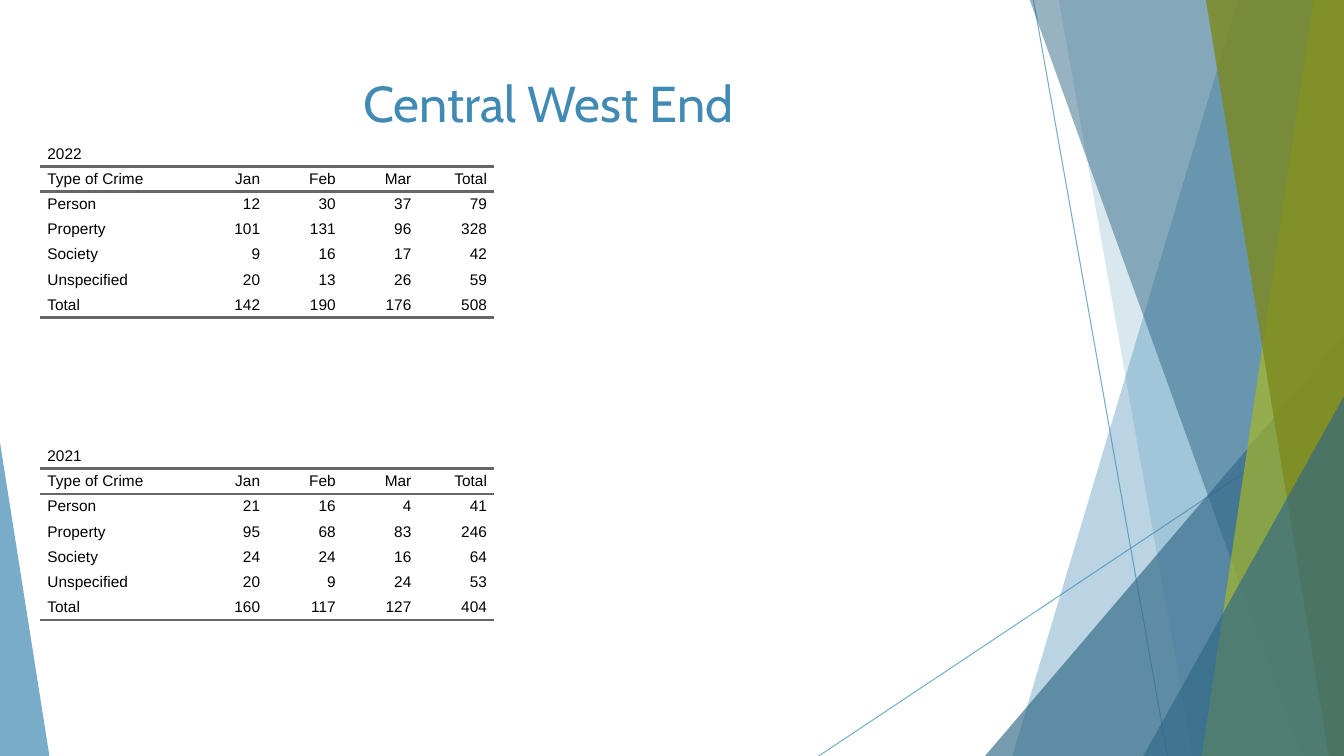
import dataclasses

import pptx
import pptx.dml.color
import pptx.enum.shapes
import pptx.enum.text
import pptx.oxml
import pptx.oxml.ns
import pptx.util

PX = 9144
SLIDE_WIDTH, SLIDE_HEIGHT = 1333, 750
PLAIN_TABLE_STYLE = "{2D5ABB26-0587-4C30-8999-92F81FD0307C}"
ALIGN = pptx.enum.text.PP_ALIGN
ANCHOR = pptx.enum.text.MSO_ANCHOR


@dataclasses.dataclass(frozen=True)
class Theme:
    blue: str = "418AB3"
    dark_blue: str = "316886"
    lime: str = "A6B727"
    olive: str = "7D891D"
    rule: str = "666666"
    ink: str = "000000"
    title_font: str = "Cabin"
    table_font: str = "Arial"
    title_size: int = 36
    table_size: int = 11
    thin_line: float = 0.75
    rule_width: int = 2


THEME = Theme()

HEADINGS = ["Type of Crime", "Jan", "Feb", "Mar", "Total"]
CRIMES_2022 = [
    ["Person", 12, 30, 37, 79],
    ["Property", 101, 131, 96, 328],
    ["Society", 9, 16, 17, 42],
    ["Unspecified", 20, 13, 26, 59],
    ["Total", 142, 190, 176, 508],
]
CRIMES_2021 = [
    ["Person", 21, 16, 4, 41],
    ["Property", 95, 68, 83, 246],
    ["Society", 24, 24, 16, 64],
    ["Unspecified", 20, 9, 24, 53],
    ["Total", 160, 117, 127, 404],
]


def px(*lengths):
    return [pptx.util.Emu(length * PX) for length in lengths]


def paint(fill, color, opacity):
    fill.solid()
    fill.fore_color.rgb = pptx.dml.color.RGBColor.from_string(color)
    for node in fill._xPr.iter(pptx.oxml.ns.qn("a:srgbClr")):
        alpha = pptx.oxml.parse_xml(
            f'<a:alpha {pptx.oxml.ns.nsdecls("a")} val="{opacity * 1000}"/>')
        node.append(alpha)


def finish_panel(shape, color, opacity):
    shape.shadow.inherit = False
    shape.line.fill.background()
    paint(shape.fill, color, opacity)


def add_line(slide, start, end):
    connector = slide.shapes.add_connector(
        pptx.enum.shapes.MSO_CONNECTOR.STRAIGHT, *px(*start, *end))
    connector.line.width = pptx.util.Pt(THEME.thin_line)
    paint(connector.line.fill, THEME.blue, 70)
    connector._element.spPr.append(
        pptx.oxml.parse_xml(f'<a:effectLst {pptx.oxml.ns.nsdecls("a")}/>'))


def add_band(slide, top_left, bottom_left, color, opacity):
    builder = slide.shapes.build_freeform(top_left, -1, scale=PX)
    builder.add_line_segments(
        [(SLIDE_WIDTH, -1), (SLIDE_WIDTH, SLIDE_HEIGHT), (bottom_left, SLIDE_HEIGHT)],
        close=True)
    finish_panel(builder.convert_to_shape(), color, opacity)


def add_corner(slide, left, top, width, apex, color, opacity):
    shape = slide.shapes.add_shape(
        pptx.enum.shapes.MSO_SHAPE.ISOSCELES_TRIANGLE,
        *px(left, top, width, SLIDE_HEIGHT - top))
    shape.adjustments[0] = apex
    finish_panel(shape, color, opacity)


def write(frame, text, *, font, size, color, align, spacing=None, indent=None):
    paragraph = frame.paragraphs[0]
    paragraph.alignment = align
    if spacing is not None:
        paragraph.space_before = paragraph.space_after = pptx.util.Pt(spacing)
    if indent is not None:
        properties = paragraph._p.get_or_add_pPr()
        for name, value in (("marL", indent * PX), ("marR", indent * PX), ("indent", 0)):
            properties.set(name, str(value))
    run = paragraph.add_run()
    run.text = text
    run.font.name = font
    run.font.size = pptx.util.Pt(size)
    run.font.color.rgb = pptx.dml.color.RGBColor.from_string(color)


def rule_cell(cell, sides):
    properties = cell._tc.get_or_add_tcPr()
    for position, side in enumerate(sides):
        border = pptx.oxml.parse_xml(
            f'<a:ln{side} {pptx.oxml.ns.nsdecls("a")} w="{THEME.rule_width * 12700}">'
            f'<a:solidFill><a:srgbClr val="{THEME.rule}"/></a:solidFill>'
            f'<a:prstDash val="solid"/></a:ln{side}>')
        properties.insert(position, border)


def add_crime_table(slide, top, year, crimes):
    rows = [[year], HEADINGS, *crimes]
    widths = [150] + [75] * 4
    row_height = 25
    table = slide.shapes.add_table(
        len(rows), len(widths), *px(40, top, sum(widths), row_height * len(rows))).table
    table.first_row = table.horz_banding = False
    table._tbl.tblPr.find(pptx.oxml.ns.qn("a:tableStyleId")).text = PLAIN_TABLE_STYLE
    for column, width in zip(table.columns, widths):
        column.width = px(width)[0]
    table.cell(0, 0).merge(table.cell(0, len(widths) - 1))
    borders = {1: "TB", len(rows) - 1: "B"}
    for row_index, values in enumerate(rows):
        table.rows[row_index].height = px(row_height)[0]
        for column_index, value in enumerate(values):
            cell = table.cell(row_index, column_index)
            cell.fill.background()
            cell.vertical_anchor = ANCHOR.MIDDLE
            cell.margin_left = cell.margin_right = 0
            cell.margin_top = cell.margin_bottom = 0
            write(cell.text_frame, str(value), font=THEME.table_font,
                  size=THEME.table_size, color=THEME.ink, spacing=5, indent=7,
                  align=ALIGN.RIGHT if column_index else ALIGN.LEFT)
            rule_cell(cell, borders.get(row_index, ""))


def add_title(slide, text):
    title = slide.shapes.title
    title.left, title.top, title.width, title.height = px(74, 67, 940, 144)
    title.text_frame.vertical_anchor = ANCHOR.TOP
    title.text_frame.word_wrap = True
    write(title.text_frame, text, font=THEME.title_font, size=THEME.title_size,
          color=THEME.blue, align=ALIGN.CENTER)


def add_backdrop(slide):
    add_line(slide, (1025, 0), (1158, SLIDE_HEIGHT))
    add_line(slide, (SLIDE_WIDTH, 403), (812, SLIDE_HEIGHT))
    add_band(slide, 1228, 1004, THEME.blue, 36)
    add_band(slide, 1050, 1183, THEME.blue, 20)
    add_corner(slide, 977, 333, 356, 1, THEME.dark_blue, 66)
    add_band(slide, 1021, 1291, THEME.dark_blue, 50)
    add_band(slide, 1303, 1192, THEME.lime, 70)
    add_band(slide, 1196, 1318, THEME.olive, 80)
    add_corner(slide, 1134, 393, 199, 1, THEME.dark_blue, 66)
    add_corner(slide, 0, 439, 49, 0, THEME.blue, 70)


def main():
    presentation = pptx.Presentation()
    presentation.slide_width, presentation.slide_height = px(SLIDE_WIDTH, SLIDE_HEIGHT)
    slide = presentation.slides.add_slide(presentation.slide_layouts.get_by_name("Title Only"))
    add_backdrop(slide)
    add_crime_table(slide, 140, "2022", CRIMES_2022)
    add_crime_table(slide, 440, "2021", CRIMES_2021)
    add_title(slide, "Central West End")
    presentation.save("out.pptx")


if __name__ == "__main__":
    main()
